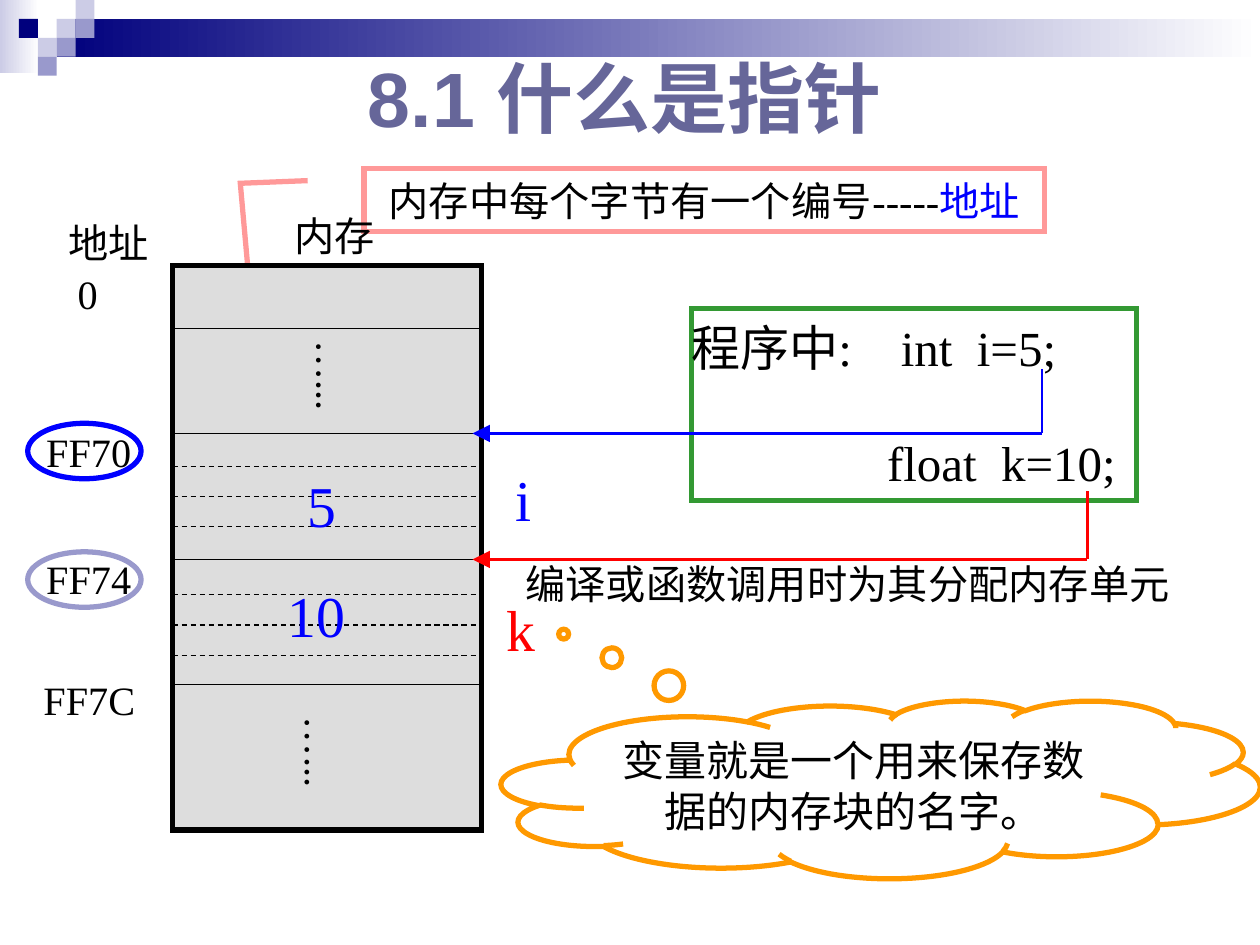
from lxml import etree
from pptx import Presentation
from pptx import util as u
from pptx.dml.color import RGBColor
from pptx.enum import dml, shapes, text
from pptx.oxml.ns import qn

Inches, Pt = u.Inches, u.Pt
MSO = shapes.MSO_SHAPE
CENTER, LEFT = text.PP_ALIGN.CENTER, text.PP_ALIGN.LEFT
MIDDLE, TOP = text.MSO_ANCHOR.MIDDLE, text.MSO_ANCHOR.TOP

COLORS = {
    "navy": "00007D", "pale": "CCCCE6", "lilac": "9999CC", "title": "666699",
    "white": "FFFFFF", "black": "000000", "gray": "DDDDDD", "blue": "0000FF",
    "red": "FF0000", "green": "339933", "pink": "FF9999", "orange": "FF9900",
}
MEMORY_LEFT, MEMORY_RIGHT = 1.37, 3.82


def color(name):
    return RGBColor.from_string(COLORS[name])


def add_box(slide, kind, box, fill=None, line=None, adjustments=()):
    """Add a preset shape; a pair as fill makes a horizontal gradient."""
    shape = slide.shapes.add_shape(kind, *map(Inches, box))
    shape.shadow.inherit = False
    for index, value in enumerate(adjustments):
        shape.adjustments[index] = value
    if isinstance(fill, tuple):
        shape.fill.gradient()
        shape.fill.gradient_angle = 0
        for stop, name, position in zip(shape.fill.gradient_stops, fill, (0, 1)):
            stop.color.rgb = color(name)
            stop.position = position
    elif fill:
        shape.fill.solid()
        shape.fill.fore_color.rgb = color(fill)
    else:
        shape.fill.background()
    if line:
        shape.line.color.rgb = color(line)
        shape.line.width = Pt(3)
        outline = shape._element.spPr.find(qn("a:ln"))
        etree.SubElement(outline, qn("a:miter"), lim="800000")
    else:
        shape.line.fill.background()
    return shape


def format_frame(shape, insets=(0.02, 0.06, 0.02, 0.06), anchor=MIDDLE):
    left, top, right, bottom = map(Inches, insets)
    settings = {
        "margin_left": left, "margin_top": top,
        "margin_right": right, "margin_bottom": bottom,
        "vertical_anchor": anchor, "word_wrap": True,
        "auto_size": text.MSO_AUTO_SIZE.NONE,
    }
    for name, value in settings.items():
        setattr(shape.text_frame, name, value)


def write(paragraph, *runs, size=23, align=CENTER, font="Times New Roman",
          bold=False):
    """Write (text, colour) runs into a paragraph."""
    paragraph.alignment = align
    for words, name in runs:
        run = paragraph.add_run()
        run.text = words
        values = {"name": font, "size": Pt(size), "bold": bold}
        for key, value in values.items():
            setattr(run.font, key, value)
        run.font.color.rgb = color(name)


def add_label(slide, words, box, name="black", frame=None, **style):
    label = slide.shapes.add_textbox(*map(Inches, box))
    format_frame(label, **(frame or {}))
    write(label.text_frame.paragraphs[0], (words, name), **style)
    return label


def add_line(slide, start, end, name="black", width=0.75, dashed=False,
             arrow=False):
    connector = slide.shapes.add_connector(
        shapes.MSO_CONNECTOR.STRAIGHT, *map(Inches, start + end))
    connector.line.color.rgb = color(name)
    connector.line.width = Pt(width)
    if dashed:
        connector.line.dash_style = dml.MSO_LINE.DASH
    properties = connector._element.spPr
    if arrow:
        etree.SubElement(properties.find(qn("a:ln")), qn("a:headEnd"),
                         type="triangle", w="lg", len="lg")
    etree.SubElement(properties, qn("a:effectLst"))


def add_banner(slide):
    add_box(slide, MSO.RECTANGLE, (0, 0, 0.31, 0.58), ("pale", "white"))
    add_box(slide, MSO.RECTANGLE, (0.45, 0.15, 9.55, 0.3), ("navy", "white"))
    squares = [(3, 1, "pale"), (4, 0, "pale"), (4, 1, "lilac"), (2, 2, "pale"),
               (1, 1, "navy"), (3, 2, "lilac"), (2, 3, "lilac")]
    for column, row, name in squares:
        add_box(slide, MSO.RECTANGLE,
                (column * 0.15, row * 0.15, 0.15, 0.15), name)
    title = add_label(slide, "8.1 什么是指针", (0.71, 0.3, 8.5, 1.02), "title",
                      size=44, font="Arial", bold=True)
    title.text_frame.paragraphs[0].line_spacing = 0.9


def add_code(slide):
    box = add_box(slide, MSO.RECTANGLE, (5.49, 2.45, 3.53, 1.52), line="green")
    format_frame(box, (0, 0.06, 0, 0.06))
    first = box.text_frame.paragraphs[0]
    tabs = etree.SubElement(first._p.get_or_add_pPr(), qn("a:tabLst"))
    etree.SubElement(tabs, qn("a:tab"), pos=str(Inches(1.66)), algn="l")
    write(first, ("程序中:\tint  i=5;", "black"), size=28, align=LEFT)
    second = box.text_frame.add_paragraph()
    second.space_before = Pt(32)
    second._p.get_or_add_pPr().set("marL", str(Inches(1.55)))
    write(second, ("float  k=10;", "black"), size=28, align=LEFT)


def add_callout(slide):
    callout = add_box(slide, MSO.LINE_CALLOUT_2, (2.89, 1.34, 5.4, 0.5),
                      line="pink",
                      adjustments=(0.188, -0.083, 0.23, -0.182, 1.924, -0.168))
    format_frame(callout)
    write(callout.text_frame.paragraphs[0],
          ("内存中每个字节有一个编号-----", "black"), ("地址", "blue"))


def add_memory(slide):
    add_box(slide, MSO.RECTANGLE,
            (MEMORY_LEFT, 2.11, MEMORY_RIGHT - MEMORY_LEFT, 4.48),
            "gray", "black")
    # Borders between variables, then the dashed bytes inside each
    for y in (2.61, 3.44, 4.44, 5.43, 6.57):
        add_line(slide, (MEMORY_LEFT, y), (MEMORY_RIGHT, y))
    for top in (3.7, 4.72):
        for byte in range(3):
            y = top + byte * 0.24
            add_line(slide, (MEMORY_LEFT, y), (MEMORY_RIGHT, y), dashed=True)
    for left, top in ((2.33, 2.68), (2.24, 5.67)):
        dots = add_label(slide, "…...", (left, top, 0.62, 0.68),
                         frame={"insets": (0.06, 0.02, 0.06, 0.02)})
        dots.text_frame._txBody.bodyPr.set("vert", "eaVert")


def add_labels(slide):
    centered = [
        ("FF70", (0.25, 3.33, 0.91, 0.5)), ("FF74", (0.25, 4.34, 0.91, 0.5)),
        ("FF7C", (0.23, 5.3, 0.96, 0.5)), ("内存", (2.22, 1.62, 0.87, 0.5)),
        ("0", (0.5, 2.08, 0.39, 0.5)), ("地址", (0.43, 1.67, 0.87, 0.5)),
    ]
    for words, box in centered:
        add_label(slide, words, box)
    variables = [
        ("i", (3.97, 3.62, 0.36, 0.67), "blue"),
        ("k", (3.9, 4.65, 0.46, 0.67), "red"),
        ("5", (2.32, 3.67, 0.46, 0.67), "blue"),
        ("10", (2.16, 4.54, 0.69, 0.67), "blue"),
    ]
    for words, box, name in variables:
        add_label(slide, words, box, name, size=33, align=LEFT,
                  frame={"insets": (0.12, 0.06, 0, 0.06), "anchor": TOP})
    add_label(slide, "编译或函数调用时为其分配内存单元", (3.98, 4.38, 5.55, 0.5),
              align=LEFT,
              frame={"insets": (0.19, 0.06, 0, 0.06), "anchor": TOP})


def add_cloud(slide):
    cloud = add_box(slide, MSO.CLOUD_CALLOUT, (3.98, 5.56, 6.02, 1.41),
                    line="orange", adjustments=(-0.418, -0.874))
    format_frame(cloud, (0.12, 0.06, 0.12, 0.06), TOP)
    write(cloud.text_frame.paragraphs[0],
          ("变量就是一个用来保存数据的内存块的名字。", "black"), size=24)


def main():
    presentation = Presentation()
    presentation.slide_width, presentation.slide_height = Inches(10), Inches(7.5)
    slide = presentation.slides.add_slide(presentation.slide_layouts[6])

    add_banner(slide)
    # Rings around the two variable addresses
    for top, name in ((4.38, "lilac"), (3.36, "blue")):
        add_box(slide, MSO.OVAL, (0.22, top, 0.9, 0.44), "white", name)
    add_code(slide)
    add_callout(slide)
    add_memory(slide)
    add_labels(slide)
    # Elbow arrows from each declaration to its memory
    for x, start, y, name in ((8.27, 2.93, 3.44, "blue"),
                              (8.63, 3.9, 4.44, "red")):
        add_line(slide, (x, start), (x, y), name, 1.5)
        add_line(slide, (3.75, y), (x, y), name, 1.5, arrow=True)
    add_cloud(slide)

    presentation.save("out.pptx")


if __name__ == "__main__":
    main()
